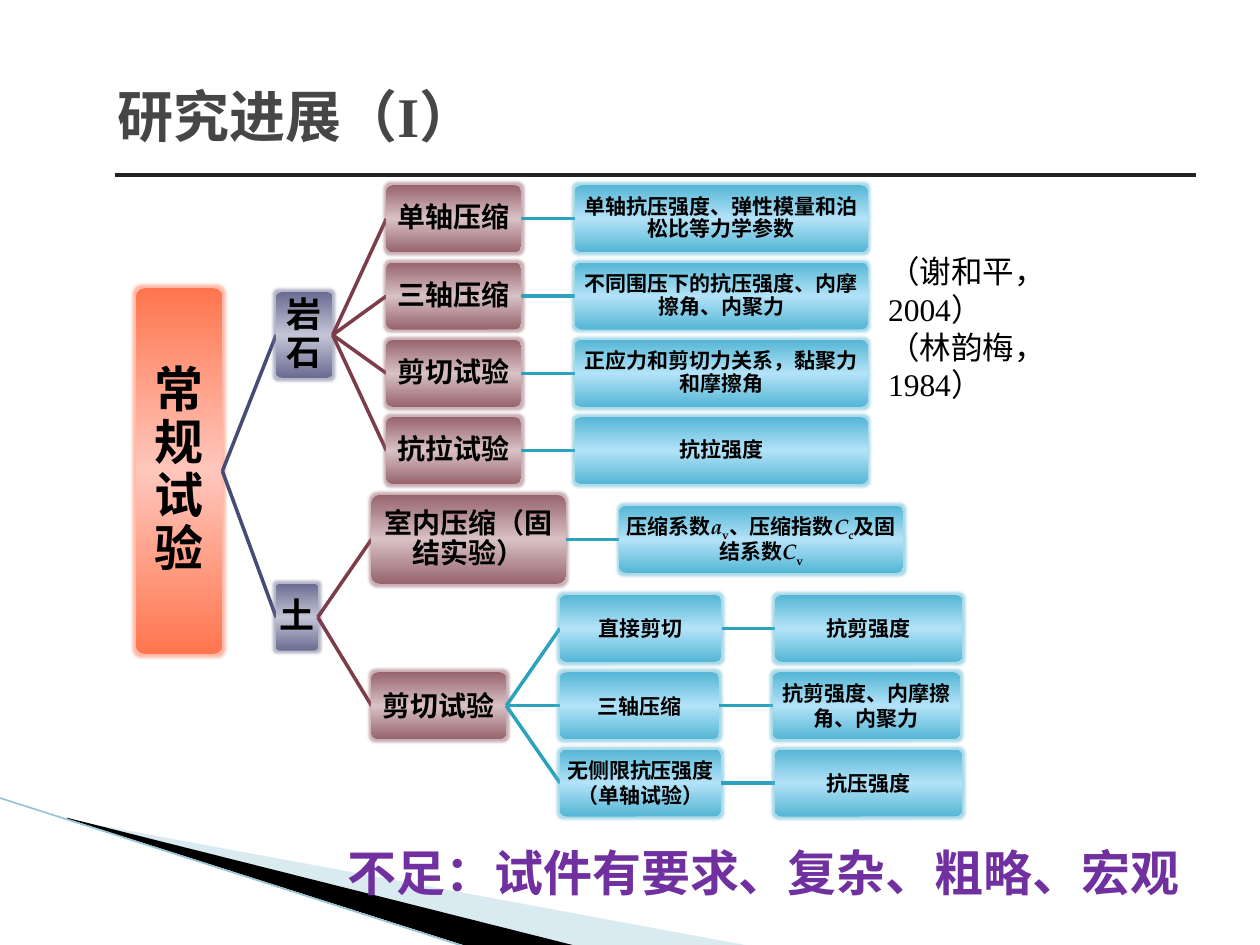
"""Build a slide with a tree of routine rock and soil tests and their results."""
from copy import deepcopy

from lxml import etree
from pptx import Presentation
from pptx.dml.color import RGBColor
from pptx.enum import shapes, text
from pptx.oxml.ns import qn
from pptx.util import Pt

BLACK = RGBColor(0x00, 0x00, 0x00)
TITLE_GREY = RGBColor(0x46, 0x46, 0x46)
RULE_GREY = RGBColor(0x23, 0x23, 0x23)
PURPLE = RGBColor(0x70, 0x30, 0xA0)
PALE_BLUE = RGBColor(0xA0, 0xCB, 0xDC)
EDGE_BLUE = RGBColor(0x97, 0xC5, 0xD8)
ORANGE = RGBColor(0xFF, 0x76, 0x4E)
LIGHT_ORANGE = RGBColor(0xFF, 0xC6, 0xBC)
INDIGO = RGBColor(0x6A, 0x6D, 0x92)
LIGHT_INDIGO = RGBColor(0xC3, 0xC4, 0xD5)
INDIGO_LINK = RGBColor(0x47, 0x4B, 0x78)
MAUVE = RGBColor(0x97, 0x64, 0x6D)
LIGHT_MAUVE = RGBColor(0xD8, 0xC1, 0xC4)
MAUVE_LINK = RGBColor(0x7D, 0x3C, 0x4A)
BLUE = RGBColor(0x55, 0xB6, 0xD5)
LIGHT_BLUE = RGBColor(0xB3, 0xE3, 0xF8)
BLUE_LINK = RGBColor(0x2D, 0xA2, 0xBF)

SERIF = "TeX Gyre Pagella"
ROMAN = "Times New Roman"
GAP = 30.7
ROW = 44.17
ROCK_ROW = 125
SOIL_ROW = 359.1

deck = Presentation()
deck.slide_width, deck.slide_height = Pt(720), Pt(540)
page = deck.slides.add_slide(deck.slide_layouts[6])


def add_span(para, words, size, font, color, bold=True):
    span = para.add_run()
    span.text = words
    span.font.size = Pt(size)
    span.font.name = font
    span.font.bold = bold
    span.font.color.rgb = color
    return span


def add_line(start, end, color, width):
    line = page.shapes.add_connector(
        shapes.MSO_CONNECTOR.STRAIGHT, *(Pt(value) for value in (*start, *end)))
    line.line.color.rgb = color
    line.line.width = Pt(width)
    etree.SubElement(line._element.spPr, qn("a:effectLst"))


wedges = [
    (PALE_BLUE, "40000", [(39.6, 468.5), (428.4, 540.5), (328.3, 540.5), (39.6, 468)]),
    (BLACK, "100000", [(38.2, 467.3), (329, 540.5), (267.8, 541), (38.9, 468)]),
]
for color, alpha, points in wedges:
    corners = [(Pt(x), Pt(y)) for x, y in points]
    builder = page.shapes.build_freeform(*corners[0])
    builder.add_line_segments(corners[1:], close=True)
    wedge = builder.convert_to_shape()
    wedge.shadow.inherit = False
    wedge.fill.solid()
    wedge.fill.fore_color.rgb = color
    wedge.line.fill.background()
    paint = wedge._element.spPr.find(".//" + qn("a:srgbClr"))
    etree.SubElement(paint, qn("a:alpha"), val=alpha)

add_line((-0.7, 455.8), (267.1, 541.4), EDGE_BLUE, 0.95)
add_line((65.5, 100), (683.3, 100), RULE_GREY, 2.25)

title = page.shapes.add_textbox(Pt(59.8), Pt(20.9), Pt(613.4), Pt(90))
title.text_frame.word_wrap = True
title.text_frame.vertical_anchor = text.MSO_ANCHOR.MIDDLE
for words, font in [("研究进展（", "Calibri"), ("I", ROMAN), ("）", "Calibri")]:
    add_span(title.text_frame.paragraphs[0], words, 32, font, TITLE_GREY)

styles = {
    "root": (ORANGE, LIGHT_ORANGE, None, 28),
    "material": (INDIGO, LIGHT_INDIGO, INDIGO_LINK, 20),
    "test": (MAUVE, LIGHT_MAUVE, MAUVE_LINK, 16),
    "result": (BLUE, LIGHT_BLUE, BLUE_LINK, 12),
}
# key: (parent, style, width, height, middle, line spacing, runs)
nodes = {
    "root": (None, "root", 49.4, 209, 269.2, 0.9, ["常规试验"]),
    "rock": ("root", "material", 32.3, 49, 191.4, 0.9, ["岩石"]),
    "soil": ("root", "material", 23.8, 38.3, 352.7, 0.9, ["土"]),
}
rock_tests = [
    ("单轴压缩", "单轴抗压强度、弹性模量和泊松比等力学参数"),
    ("三轴压缩", "不同围压下的抗压强度、内摩擦角、内聚力"),
    ("剪切试验", "正应力和剪切力关系，黏聚力和摩擦角"),
    ("抗拉试验", "抗拉强度"),
]
for row, (test, result) in enumerate(rock_tests):
    middle = ROCK_ROW + row * ROW
    nodes["rock", row] = ("rock", "test", 77, 38.3, middle, 0.9, [test])
    nodes["rock result", row] = (("rock", row), "result", 167.3, 38.3, middle, 0.9, [result])

coefficients = ["压缩系数", ("a", "v"), "、压缩指数", ("C", "c"), "及固结系数", ("C", "v")]
nodes["oedometer"] = ("soil", "test", 110.9, 51, 308.2, 0.9, ["室内压缩（固结实验）"])
nodes["coefficients"] = ("oedometer", "result", 162.2, 38.3, 308.2, 0.9, coefficients)
nodes["shear"] = ("soil", "test", 77, 38.3, SOIL_ROW + ROW, 1, ["剪切试验"])
shear_tests = [
    ("直接剪切", 92.3, "抗剪强度"),
    ("三轴压缩", 90.9, "抗剪强度、内摩擦角、内聚力"),
    ("无侧限抗压强度（单轴试验）", 92.1, "抗压强度"),
]
for row, (test, width, result) in enumerate(shear_tests):
    middle = SOIL_ROW + row * ROW
    nodes["shear", row] = ("shear", "result", width, 38.3, middle, 1, [test])
    nodes["shear result", row] = (("shear", row), "result", 106.9, 38.3, middle, 1, [result])

outlets = {}
for key, (parent, style, width, height, middle, spacing, pieces) in nodes.items():
    edge, centre, link, size = styles[style]
    left = 77.7
    if parent:
        left = outlets[parent][0] + GAP
        add_line(outlets[parent], (left, middle), link, 2)
    outlets[key] = (left + width, middle)

    box = page.shapes.add_shape(
        shapes.MSO_SHAPE.ROUNDED_RECTANGLE,
        Pt(left), Pt(middle - height / 2), Pt(width), Pt(height))
    box.adjustments[0] = 0.1
    box.line.fill.background()
    box.shadow.inherit = False
    box.fill.gradient()
    box.fill.gradient_angle = 90
    ramp = box._element.spPr.find(".//" + qn("a:gsLst"))
    ramp.insert(1, deepcopy(ramp[0]))
    for stop, place, color in zip(box.fill.gradient_stops, (0, 0.5, 1), (edge, centre, edge)):
        stop.position = place
        stop.color.rgb = color
    effects = box._element.spPr.find(qn("a:effectLst"))
    glow = etree.SubElement(effects, qn("a:glow"), rad=str(Pt(3)))
    tint = etree.SubElement(glow, qn("a:srgbClr"), val=str(edge))
    etree.SubElement(tint, qn("a:alpha"), val="50000")

    frame = box.text_frame
    frame.word_wrap = True
    frame.vertical_anchor = text.MSO_ANCHOR.MIDDLE
    frame.margin_left = frame.margin_right = Pt(0.6)
    frame.margin_top = frame.margin_bottom = Pt(0.6)
    para = frame.paragraphs[0]
    para.alignment = text.PP_ALIGN.CENTER
    para.line_spacing = spacing
    for piece in pieces:
        if isinstance(piece, str):
            add_span(para, piece, size, SERIF, BLACK)
        else:
            symbol, index = piece
            add_span(para, symbol, size, SERIF, BLACK).font.italic = True
            subscript = add_span(para, index, size, SERIF, BLACK)
            subscript.font._element.set("baseline", "-25000")

summary = page.shapes.add_textbox(Pt(191.5), Pt(478.1), Pt(497.5), Pt(41))
summary.text_frame.word_wrap = False
add_span(summary.text_frame.paragraphs[0], "不足：试件有要求、复杂、粗略、宏观", 28, SERIF, PURPLE)

citations = page.shapes.add_textbox(Pt(500.4), Pt(140.4), Pt(161.3), Pt(51.1))
citations.text_frame.word_wrap = True
citations.text_frame.margin_right = Pt(24)
first = citations.text_frame.paragraphs[0]
second = citations.text_frame.add_paragraph()
for para, words in [(first, "（谢和平，2004）"), (second, "（林韵梅，1984）")]:
    add_span(para, words, 18, ROMAN, BLACK, bold=False)

deck.save("out.pptx")
